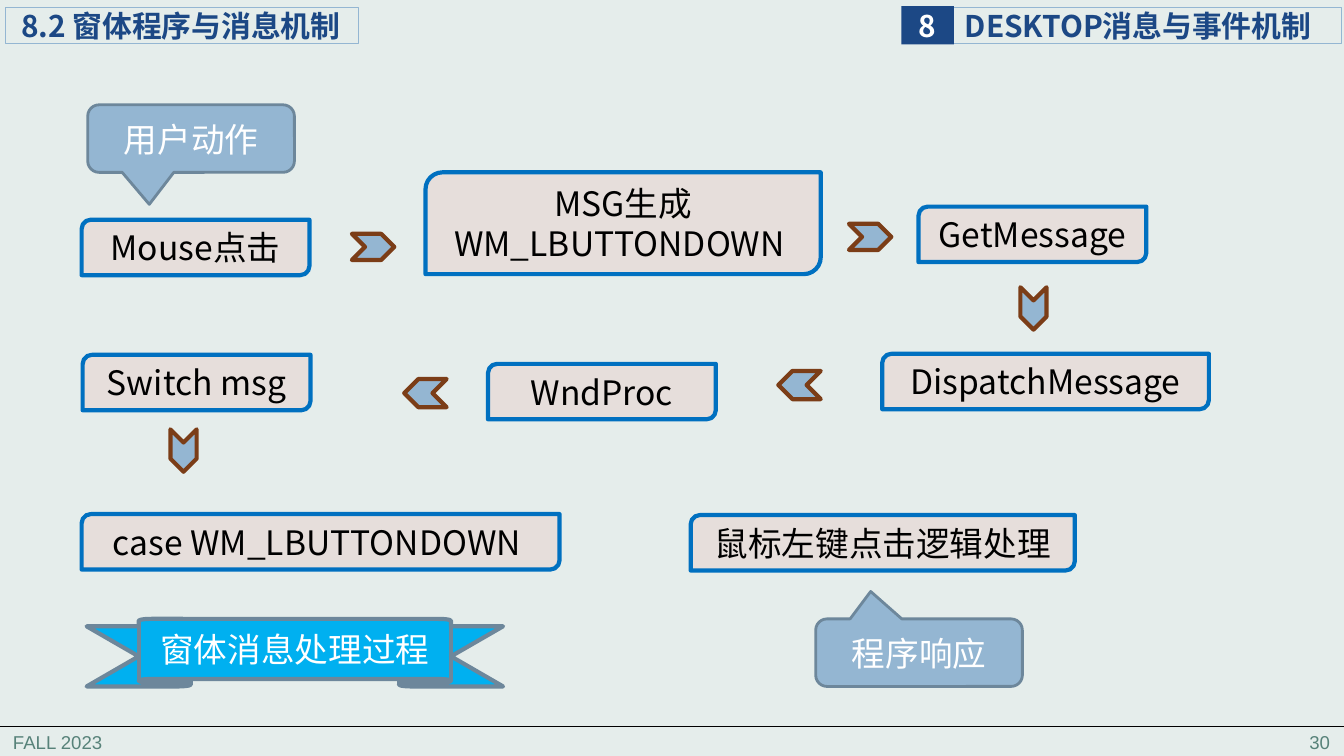
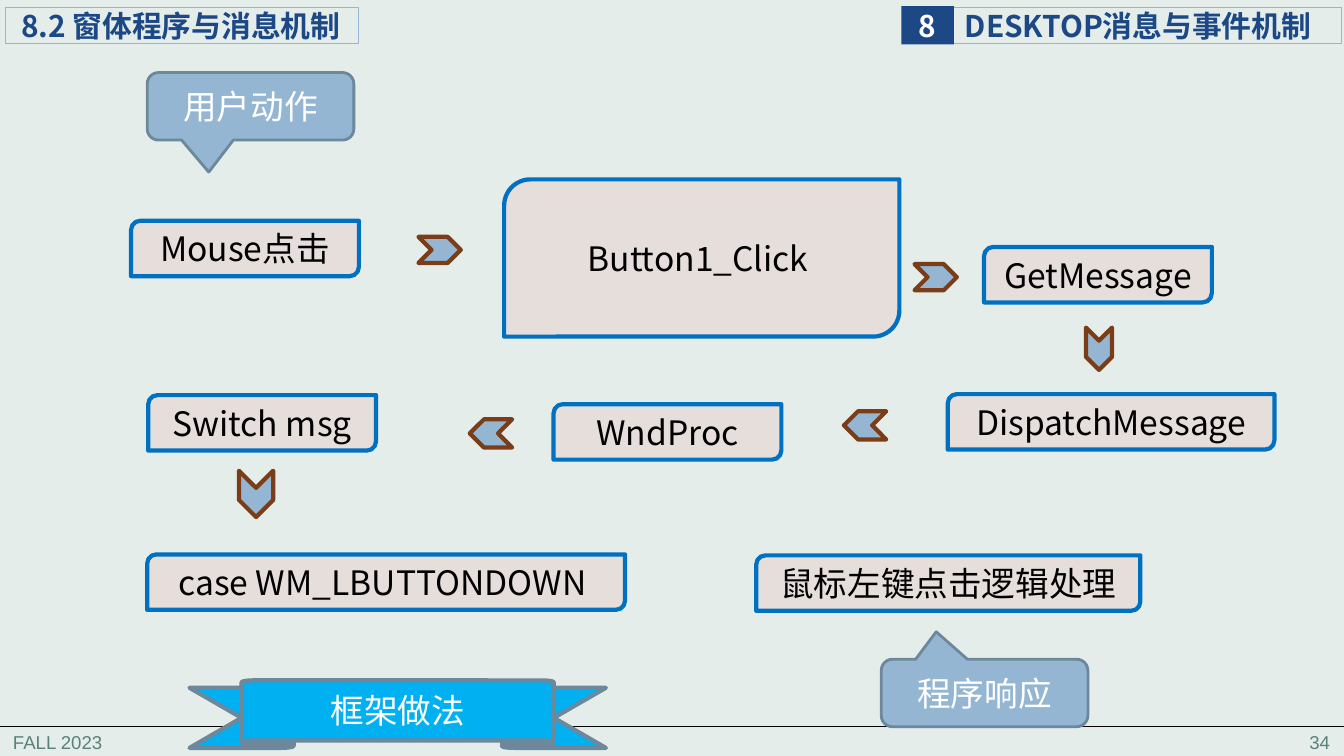
"""Build two slides that trace a window message from mouse click to handler."""
from dataclasses import dataclass

from lxml import etree
from pptx import Presentation, util as u
from pptx.dml.color import RGBColor
from pptx.enum import shapes, text
from pptx.oxml.ns import qn

W, H = 13.33, 7.5


@dataclass(frozen=True)
class Theme:
    """Colours, fonts and type sizes."""
    back: str = "E5EDEB"
    navy: str = "1C4885"
    sky: str = "94B6D2"
    slate: str = "6D879B"
    brown: str = "7B3D17"
    node: str = "E6DEDB"
    edge: str = "0070C0"
    ribbon: str = "00B0F0"
    foot: str = "578279"
    black: str = "000000"
    white: str = "FFFFFF"
    cjk: str = "Noto Sans CJK SC"
    latin: str = "Arial"
    head_pt: float = 21.3
    body_pt: float = 24
    foot_pt: float = 13.3


T = Theme()
SECTION = "8.2 窗体程序与消息机制"
CHAPTER = ("8", "DESKTOP消息与事件机制")
FOOTER = "FALL 2023"

NODE_W, NODE_H = 2.26, 0.55
CALL_W, CALL_H = 2.05, 0.67
ARROWS = {"right": (0.42, 0.26), "down": (0.42, 0.26),
          "left": (0.42, 0.28), "big down": (0.46, 0.34)}
CALLOUT_TIPS = {"down": (-0.202, 0.974, 0.167), "up": (-0.234, -0.906, 0.167)}

COMMON = {
    "nodes": [
        ("GetMessage", 9.11, 2.05, NODE_W, NODE_H),
        ("Switch msg", 0.82, 3.52, NODE_W, NODE_H),
        ("WndProc", 4.84, 3.61, NODE_W, NODE_H),
        ("DispatchMessage", 8.75, 3.51, 3.24, NODE_H),
        ("case WM_LBUTTONDOWN ", 0.81, 5.1, 4.74, NODE_H),
        ("鼠标左键点击逻辑处理", 6.85, 5.11, 3.81, NODE_H),
    ],
    "callouts": [("程序响应", "up", 8.09, 6.14)],
    "arrows": [("right", 8.42, 2.22), ("down", 10.04, 2.93),
               ("left", 7.72, 3.68), ("left", 4.01, 3.76)],
}
SLIDES = [
    {"page": "30", "shift": (0, 0),
     "nodes": [("Mouse点击", 0.81, 2.18, NODE_W, NODE_H),
               ("MSG生成\nWM_LBUTTONDOWN ", 4.22, 1.71, 3.92, 1.01)],
     "callouts": [("用户动作", "down", 0.87, 1.04)],
     "arrows": [("right", 3.49, 2.32), ("down", 1.61, 4.34)],
     "ribbon": ("窗体消息处理过程", 0.86, 6.14)},
    {"page": "34", "shift": (0.65, 0.4),
     "nodes": [("Mouse点击", 1.3, 2.19, NODE_W, NODE_H),
               ("Button1_Click ", 5, 1.78, 3.92, 1.56)],
     "callouts": [("用户动作", "down", 1.46, 0.72)],
     "arrows": [("right", 4.15, 2.35), ("big down", 2.31, 4.73)],
     "ribbon": ("框架做法", 1.88, 6.75)},
]


def inches(*values):
    return [u.Inches(v) for v in values]


def write(sp, words, size=T.body_pt, color=T.black, font=T.cjk, bold=False,
          align="CENTER", anchor="MIDDLE", insets=None, wrap=True):
    """Fill a shape with formatted paragraphs."""
    tf = sp.text_frame
    tf.word_wrap = wrap
    tf.auto_size = text.MSO_AUTO_SIZE.NONE
    tf.vertical_anchor = getattr(text.MSO_ANCHOR, anchor)
    if insets:
        tf.margin_left, tf.margin_top, tf.margin_right, tf.margin_bottom = inches(*insets)
    for i, line in enumerate(words.split("\n")):
        p = tf.add_paragraph() if i else tf.paragraphs[0]
        p.alignment = getattr(text.PP_ALIGN, align)
        r = p.add_run()
        r.text = line
        r.font.size, r.font.bold, r.font.name = u.Pt(size), bold, font
        r.font.color.rgb = RGBColor.from_string(color)
        ea = etree.SubElement(r.font._element, qn("a:ea"))
        ea.set("typeface", font)


def paint(sp, fill=None, line=None, width=0.75):
    """Set the fill and outline; None means no paint."""
    if fill:
        sp.fill.solid()
        sp.fill.fore_color.rgb = RGBColor.from_string(fill)
    else:
        sp.fill.background()
    if line:
        sp.line.color.rgb = RGBColor.from_string(line)
        sp.line.width = u.Pt(width)
    else:
        sp.line.fill.background()


def shape(s, kind, box, fill=None, line=None, width=3, adj=()):
    sp = s.shapes.add_shape(getattr(shapes.MSO_SHAPE, kind), *inches(*box))
    sp.shadow.inherit = False
    paint(sp, fill, line, width)
    for i, value in enumerate(adj):
        sp.adjustments[i] = value
    return sp


def frame(s, page):
    """Draw the title, chapter tag, rule and footer."""
    head = {"size": T.head_pt, "color": T.navy, "bold": True, "align": "LEFT"}
    title = s.shapes.title
    title.left, title.top, title.width, title.height = inches(0.05, 0.07, 3.51, 0.36)
    paint(title, line=T.sky)
    write(title, SECTION, insets=(0.16, 0, 0, 0), **head)

    number, name = CHAPTER
    sp = shape(s, "RECTANGLE", (9.45, 0.07, 3.86, 0.36), line=T.sky, width=0.75)
    write(sp, name, insets=(0.12, 0, 0, 0), **head)
    sp = shape(s, "RECTANGLE", (8.94, 0.06, 0.52, 0.38), fill=T.navy)
    write(sp, number, size=T.head_pt, color=T.white, bold=True,
          insets=(0, 0, 0, 0), wrap=False)

    rule = s.shapes.add_connector(shapes.MSO_CONNECTOR.STRAIGHT,
                                  *inches(-0.03, 7.21, W, 7.21))
    rule.line.color.rgb = RGBColor.from_string(T.black)
    rule.line.width = u.Pt(0.5)
    etree.SubElement(rule._element.spPr, qn("a:effectLst"))
    for words, left, align in ((FOOTER, 0.03, "LEFT"), (page, 10.51, "RIGHT")):
        sp = s.shapes.add_textbox(*inches(left, 7.2, 2.78, 0.31))
        write(sp, words, size=T.foot_pt, color=T.foot, font=T.latin,
              align=align, anchor="TOP")


def arrow(s, way, x, y):
    sp = shape(s, "CHEVRON", (x, y, *ARROWS[way]), T.sky, T.brown)
    if "down" in way:
        sp.rotation = 90
    elif way == "left":
        sp._element.spPr.find(qn("a:xfrm")).set("flipH", "1")


def flow(s, parts, dx=0, dy=0):
    """Draw nodes, callouts and arrows, moved by an offset."""
    for words, x, y, w, h in parts["nodes"]:
        sp = shape(s, "ROUND_2_DIAG_RECTANGLE", (x + dx, y + dy, w, h), T.node, T.edge)
        write(sp, words)
    for words, tip, x, y in parts["callouts"]:
        sp = shape(s, "ROUNDED_RECTANGULAR_CALLOUT", (x + dx, y + dy, CALL_W, CALL_H),
                   T.sky, T.slate, 2, CALLOUT_TIPS[tip])
        write(sp, words, color=T.white)
    for way, x, y in parts["arrows"]:
        arrow(s, way, x + dx, y + dy)


def main():
    prs = Presentation()
    prs.slide_width, prs.slide_height = inches(W, H)
    back = prs.slide_master.background.fill
    back.solid()
    back.fore_color.rgb = RGBColor.from_string(T.back)
    for data in SLIDES:
        s = prs.slides.add_slide(prs.slide_layouts[5])
        frame(s, data["page"])
        flow(s, COMMON, *data["shift"])
        flow(s, data)
        words, x, y = data["ribbon"]
        sp = shape(s, "UP_RIBBON", (x, y, 4.13, 0.67), T.ribbon, T.slate, 3, (0.11, 0.75))
        write(sp, words, color=T.white)
    prs.save("out.pptx")


if __name__ == "__main__":
    main()
